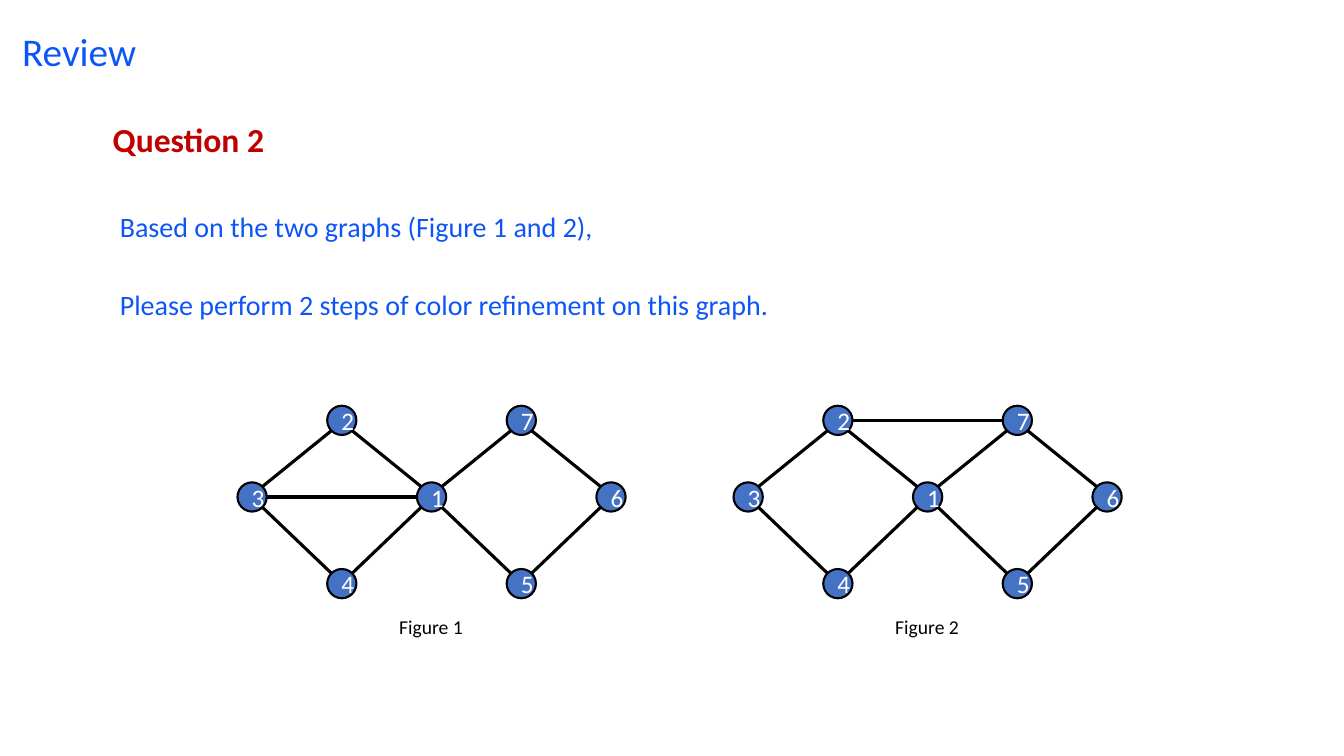
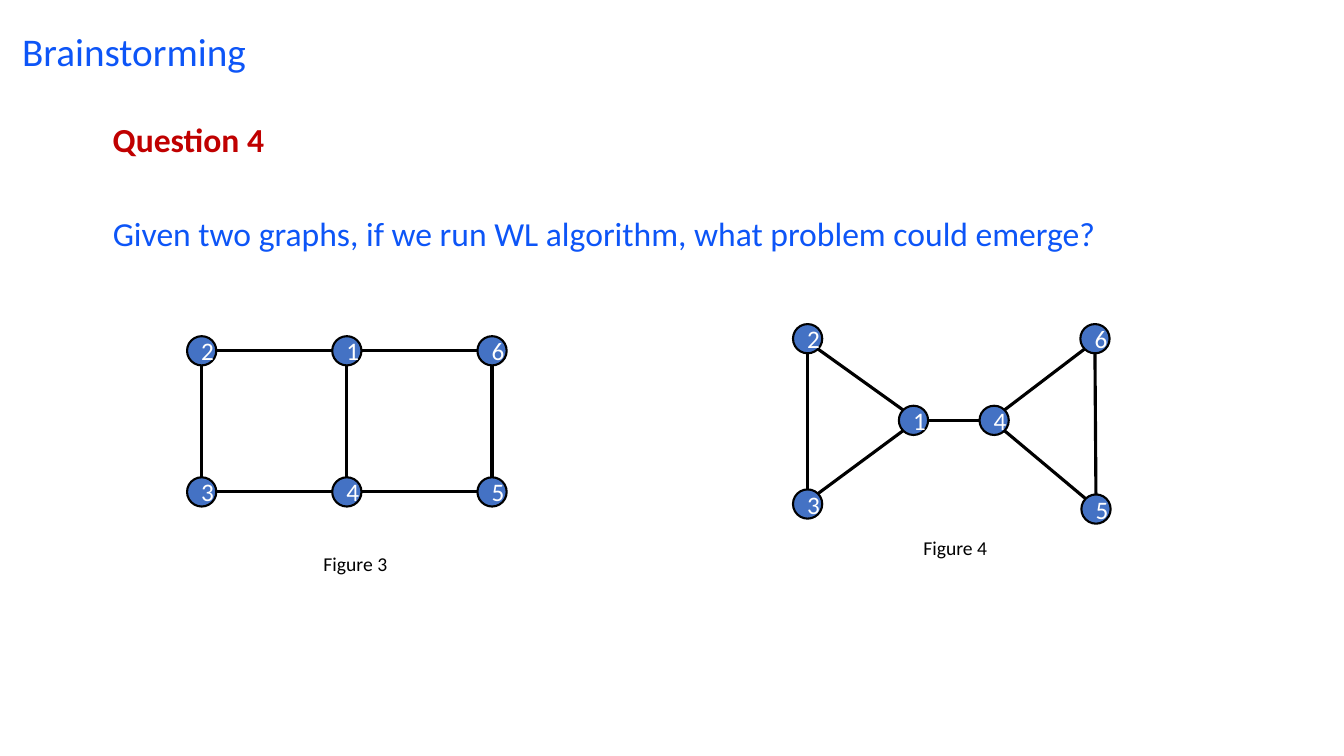
from dataclasses import dataclass
from math import atan2, cos, pi, sin

from lxml.etree import SubElement
from pptx import Presentation
from pptx.dml.color import RGBColor
from pptx.enum.shapes import MSO_CONNECTOR, MSO_SHAPE
from pptx.enum.text import MSO_ANCHOR, MSO_AUTO_SIZE, PP_ALIGN
from pptx.oxml.ns import qn
from pptx.util import Inches, Pt


@dataclass(frozen=True)
class Theme:
    """Colours, type sizes and line widths shared by the slides."""

    font: str = "Calibri"
    blue: RGBColor = RGBColor(0x0D, 0x55, 0xF7)
    red: RGBColor = RGBColor(0xC0, 0x00, 0x00)
    node_fill: RGBColor = RGBColor(0x44, 0x72, 0xC4)
    black: RGBColor = RGBColor(0, 0, 0)
    white: RGBColor = RGBColor(0xFF, 0xFF, 0xFF)
    title_size: int = 28
    heading_size: int = 24
    body_size: int = 20
    node_size: int = 18
    caption_size: int = 14
    node_diameter: float = 0.29
    outline_width: float = 1.5
    edge_width: float = 2.25


class DeckBuilder:
    """Holds the theme and the current slide, and draws each kind of element."""

    def __init__(self, theme):
        """Start an empty widescreen presentation."""
        self.theme = theme
        self.presentation = Presentation()
        self.presentation.slide_width = Inches(13.33)
        self.presentation.slide_height = Inches(7.5)
        self.slide = None

    def format_paragraph(self, paragraph, size, color, bold=False,
                         alignment=PP_ALIGN.LEFT, line_spacing=1.0):
        """Apply alignment, spacing and font to a paragraph and its runs."""
        paragraph.alignment = alignment
        paragraph.line_spacing = line_spacing
        for run in paragraph.runs:
            run.font.name = self.theme.font
            run.font.size = Pt(size)
            run.font.bold = bold
            run.font.color.rgb = color

    def add_slide(self, title, question):
        """Add a slide with its title and question heading."""
        layout = self.presentation.slide_layouts.get_by_name("Title Only")
        self.slide = self.presentation.slides.add_slide(layout)
        placeholder = self.slide.shapes.title
        placeholder.left, placeholder.top = Inches(0.12), Inches(0.12)
        placeholder.width, placeholder.height = Inches(11.5), Inches(0.82)
        heading = self.slide.shapes.add_textbox(
            Inches(1.02), Inches(0.99), Inches(11.5), Inches(0.82))
        for shape, text, size, color, bold in (
                (placeholder, title, self.theme.title_size, self.theme.blue, False),
                (heading, question, self.theme.heading_size, self.theme.red, True)):
            text_frame = shape.text_frame
            text_frame.text = text
            text_frame.word_wrap = True
            text_frame.auto_size = MSO_AUTO_SIZE.NONE
            text_frame.vertical_anchor = MSO_ANCHOR.MIDDLE
            self.format_paragraph(text_frame.paragraphs[0], size, color, bold,
                                  line_spacing=0.9)

    def add_text(self, shapes, lines, left, top, width, height, size, color,
                 line_spacing=1.0, gap=0):
        """Add a text box with one paragraph per line and a gap between them."""
        box = shapes.add_textbox(
            Inches(left), Inches(top), Inches(width), Inches(height))
        text_frame = box.text_frame
        text_frame.text = "\n".join(lines)
        text_frame.word_wrap = True
        text_frame.auto_size = MSO_AUTO_SIZE.SHAPE_TO_FIT_TEXT
        for index, paragraph in enumerate(text_frame.paragraphs):
            self.format_paragraph(paragraph, size, color,
                                  line_spacing=line_spacing)
            paragraph.space_before = Pt(gap if index else 0)

    def add_body(self, lines, left, width, height, size, gap=0):
        """Add the question text below the heading."""
        self.add_text(self.slide.shapes, lines, left, 1.86, width, height,
                      size, self.theme.blue, line_spacing=1.5, gap=gap)

    def add_node(self, shapes, label, center):
        """Add a numbered circle around a centre point."""
        diameter = self.theme.node_diameter
        left, top = (value - diameter / 2 for value in center)
        node = shapes.add_shape(MSO_SHAPE.OVAL, Inches(left), Inches(top),
                                Inches(diameter), Inches(diameter))
        node.shadow.inherit = False
        node.fill.solid()
        node.fill.fore_color.rgb = self.theme.node_fill
        node.line.color.rgb = self.theme.black
        node.line.width = Pt(self.theme.outline_width)
        node.text_frame.text = str(label)
        node.text_frame.vertical_anchor = MSO_ANCHOR.MIDDLE
        self.format_paragraph(node.text_frame.paragraphs[0],
                              self.theme.node_size, self.theme.white,
                              alignment=PP_ALIGN.CENTER)
        return node

    def connection_site(self, center, target):
        """Return the index and point of the circle site that faces a target."""
        octant = round(atan2(center[1] - target[1], target[0] - center[0]) / (pi / 4))
        angle, radius = octant * pi / 4, self.theme.node_diameter / 2
        point = center[0] + radius * cos(angle), center[1] - radius * sin(angle)
        return (octant + 6) % 8, point

    def add_edge(self, shapes, nodes, centers, start, end):
        """Join two circles with a line attached to both."""
        start_site, start_point = self.connection_site(centers[start], centers[end])
        end_site, end_point = self.connection_site(centers[end], centers[start])
        edge = shapes.add_connector(
            MSO_CONNECTOR.STRAIGHT,
            *(Inches(value) for value in start_point + end_point))
        edge.line.color.rgb = self.theme.black
        edge.line.width = Pt(self.theme.edge_width)
        SubElement(edge.element.spPr, qn("a:effectLst"))
        properties = edge.element.find(".//" + qn("p:cNvCxnSpPr"))
        for tag, label, site in (("a:stCxn", start, start_site),
                                 ("a:endCxn", end, end_site)):
            SubElement(properties, qn(tag), id=str(nodes[label].shape_id),
                       idx=str(site))

    def add_graph(self, centers, edges, caption, caption_left, caption_top):
        """Add a grouped graph of circles, lines and a caption."""
        shapes = self.slide.shapes.add_group_shape().shapes
        nodes = {label: self.add_node(shapes, label, center)
                 for label, center in centers.items()}
        for start, end in edges:
            self.add_edge(shapes, nodes, centers, start, end)
        self.add_text(shapes, [caption], caption_left, caption_top, 0.87, 0.34,
                      self.theme.caption_size, self.theme.black)


def double_diamond(left):
    """Return the centres of two diamonds that share node 1."""
    columns = [left + 0.89 * step for step in range(5)]
    top, middle, bottom = 4.17, 4.93, 5.79
    return {
        1: (columns[2], middle), 6: (columns[4], middle),
        5: (columns[3], bottom), 7: (columns[3], top),
        3: (columns[0], middle), 4: (columns[1], bottom),
        2: (columns[1], top),
    }


def add_review(deck):
    """Build the slide on color refinement."""
    deck.add_slide("Review", "Question 2")
    deck.add_body(["Based on the two graphs (Figure 1 and 2),",
                   "Please perform 2 steps of color refinement on this graph."],
                  1.09, 11.15, 1.61, deck.theme.body_size, gap=20)
    diamond_edges = [(2, 1), (1, 7), (2, 3), (4, 1), (5, 1), (7, 6), (5, 6), (4, 3)]
    figures = (("Figure 1", 2.5, (3, 1)), ("Figure 2", 7.42, (2, 7)))
    for caption, left, chord in figures:
        deck.add_graph(double_diamond(left), diamond_edges + [chord],
                       caption, left + 1.36, 6.05)


def add_brainstorming(deck):
    """Build the slide on the WL algorithm."""
    deck.add_slide("Brainstorming", "Question 4")
    deck.add_body(["Given two graphs, if we run WL algorithm, "
                   "what problem could emerge?"],
                  1.02, 12.15, 0.64, deck.theme.heading_size)
    rows = ((3.48, (2, 1, 6)), (4.88, (3, 4, 5)))
    squares = {label: (2.0 + 1.44 * column, center_y)
               for center_y, labels in rows
               for column, label in enumerate(labels)}
    deck.add_graph(squares,
                   [(2, 1), (2, 3), (4, 1), (5, 4), (1, 6), (5, 6), (4, 3)],
                   "Figure 3", 3.11, 5.43)
    triangles = {1: (9.06, 4.17), 5: (10.87, 5.05), 6: (10.86, 3.36),
                 3: (8.01, 5.0), 2: (8.01, 3.36), 4: (9.86, 4.17)}
    deck.add_graph(triangles,
                   [(2, 1), (4, 6), (3, 1), (5, 4), (5, 6), (3, 2), (1, 4)],
                   "Figure 4", 9.06, 5.27)


def main():
    """Build and save the presentation."""
    deck = DeckBuilder(Theme())
    add_review(deck)
    add_brainstorming(deck)
    deck.presentation.save("out.pptx")


main()
